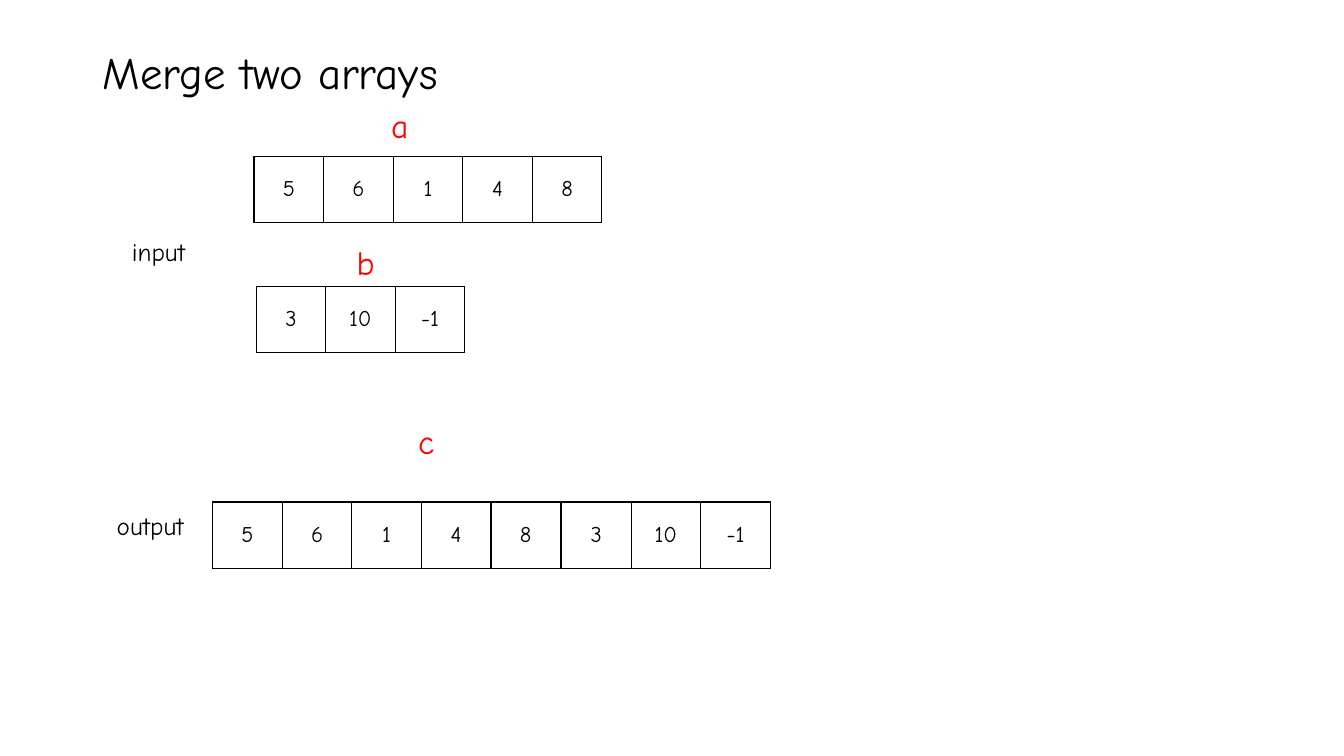
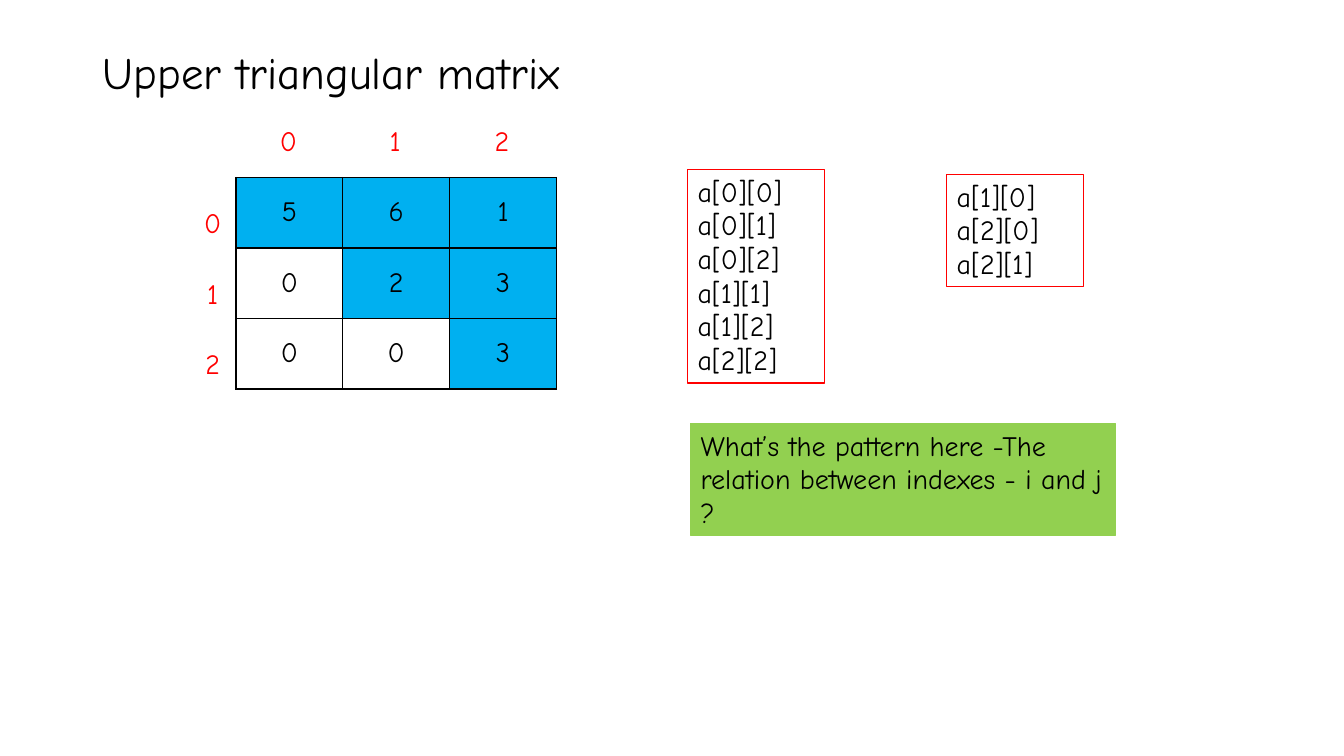
from dataclasses import dataclass

import lxml.etree
import pptx
import pptx.dml.color
import pptx.enum.shapes
import pptx.enum.text
import pptx.oxml.ns
import pptx.presentation
import pptx.slide
import pptx.table
import pptx.text.text
import pptx.util

RGBColor = pptx.dml.color.RGBColor
PP_ALIGN = pptx.enum.text.PP_ALIGN
MSO_ANCHOR = pptx.enum.text.MSO_ANCHOR
MSO_AUTO_SIZE = pptx.enum.text.MSO_AUTO_SIZE
qn = pptx.oxml.ns.qn

BLACK = RGBColor(0x00, 0x00, 0x00)
RED = RGBColor(0xFF, 0x00, 0x00)
BLUE = RGBColor(0x00, 0xB0, 0xF0)
GREEN = RGBColor(0x92, 0xD0, 0x50)

FONT = "Comic Neue"
EMU_PER_PX = 9144  # 100 px to the inch
PLAIN_TABLE_STYLE = "{2D5ABB26-0587-4C30-8999-92F81FD0307C}"
TITLE_ONLY = 5

ARRAY_A = ["5", "6", "1", "4", "8"]
ARRAY_B = ["3", "10", "-1"]
MATRIX = [["5", "6", "1"], ["0", "2", "3"], ["0", "0", "3"]]
INDEXES = ["0", "1", "2"]


@dataclass(frozen=True)
class Grid:
    left: int
    top: int
    cell_width: int
    cell_height: int
    rows: list[list[str]]
    size: int = 16
    color: RGBColor = BLACK
    bordered: bool = True
    upper_fill: RGBColor | None = None


@dataclass(frozen=True)
class Label:
    left: int
    top: int
    width: int
    height: int
    text: str
    size: int
    color: RGBColor


@dataclass(frozen=True)
class Box:
    left: int
    top: int
    width: int
    height: int
    lines: list[str]
    line: RGBColor
    fill: RGBColor | None = None


def px(*lengths: int) -> list[pptx.util.Emu]:
    """Turn lengths in px into EMU."""
    return [pptx.util.Emu(n * EMU_PER_PX) for n in lengths]


def set_font(p: pptx.text.text._Paragraph, size: int, color: RGBColor) -> None:
    p.font.name = FONT
    p.font.size = pptx.util.Pt(size)
    p.font.color.rgb = color


def add_titled_slide(prs: pptx.presentation.Presentation, title: str) -> pptx.slide.Slide:
    s = prs.slides.add_slide(prs.slide_layouts[TITLE_ONLY])
    sp = s.shapes.title
    sp.left, sp.top, sp.width, sp.height = px(92, 40, 1150, 69)
    tf = sp.text_frame
    tf.text = title
    tf.auto_size = MSO_AUTO_SIZE.NONE
    tf.vertical_anchor = MSO_ANCHOR.MIDDLE
    p = tf.paragraphs[0]
    p.alignment = PP_ALIGN.LEFT
    p.line_spacing = 0.9
    set_font(p, 32, BLACK)
    return s


def add_borders(cell: pptx.table._Cell) -> None:
    tc_pr = cell._tc.get_or_add_tcPr()
    for side in ("lnL", "lnR", "lnT", "lnB"):
        ln = lxml.etree.SubElement(tc_pr, qn(f"a:{side}"), w=str(pptx.util.Pt(1)))
        fill = lxml.etree.SubElement(ln, qn("a:solidFill"))
        lxml.etree.SubElement(fill, qn("a:srgbClr"), val=str(BLACK))


def add_grid(s: pptx.slide.Slide, grid: Grid) -> None:
    """Draw a table of equal cells, filling the upper triangle if asked."""
    n_rows, n_cols = len(grid.rows), len(grid.rows[0])
    frame = s.shapes.add_table(
        n_rows, n_cols,
        *px(grid.left, grid.top, n_cols * grid.cell_width, n_rows * grid.cell_height),
    )
    table = frame.table
    table.first_row = table.horz_banding = False
    table._tbl.tblPr.find(qn("a:tableStyleId")).text = PLAIN_TABLE_STYLE
    for i, row in enumerate(grid.rows):
        for j, text in enumerate(row):
            cell = table.cell(i, j)
            cell.text = text
            cell.vertical_anchor = MSO_ANCHOR.MIDDLE
            if grid.bordered:
                add_borders(cell)
            if grid.upper_fill is not None and i <= j:
                cell.fill.solid()
                cell.fill.fore_color.rgb = grid.upper_fill
            else:
                cell.fill.background()
            p = cell.text_frame.paragraphs[0]
            p.alignment = PP_ALIGN.CENTER
            set_font(p, grid.size, grid.color)


def add_label(s: pptx.slide.Slide, label: Label) -> None:
    sp = s.shapes.add_textbox(*px(label.left, label.top, label.width, label.height))
    tf = sp.text_frame
    tf.word_wrap = True
    tf.auto_size = MSO_AUTO_SIZE.SHAPE_TO_FIT_TEXT
    tf.text = label.text
    set_font(tf.paragraphs[0], label.size, label.color)


def add_box(s: pptx.slide.Slide, box: Box) -> None:
    sp = s.shapes.add_shape(
        pptx.enum.shapes.MSO_SHAPE.RECTANGLE,
        *px(box.left, box.top, box.width, box.height),
    )
    sp.shadow.inherit = False
    sp.line.color.rgb = box.line
    sp.line.width = pptx.util.Pt(0.75)
    if box.fill is None:
        sp.fill.background()
    else:
        sp.fill.solid()
        sp.fill.fore_color.rgb = box.fill
    tf = sp.text_frame
    tf.word_wrap = True
    tf.auto_size = MSO_AUTO_SIZE.SHAPE_TO_FIT_TEXT
    tf.vertical_anchor = MSO_ANCHOR.TOP
    tf.text = "\n".join(box.lines)
    for p in tf.paragraphs:
        p.alignment = PP_ALIGN.LEFT
        set_font(p, 20, BLACK)


def build_merge_slide(prs: pptx.presentation.Presentation) -> None:
    s = add_titled_slide(prs, "Merge two arrays")
    for left, top, values in (
        (252, 155, ARRAY_A),
        (254, 284, ARRAY_B),
        (211, 498, ARRAY_A),
        (557, 498, ARRAY_B),
    ):
        add_grid(s, Grid(left, top, 69, 66, [values]))
    for label in (
        Label(121, 229, 110, 42, "input", 18, BLACK),
        Label(106, 501, 110, 42, "output", 18, BLACK),
        Label(378, 99, 49, 50, "a", 24, RED),
        Label(344, 235, 53, 50, "b", 24, RED),
        Label(405, 413, 53, 50, "c", 24, RED),
    ):
        add_label(s, label)


def build_matrix_slide(prs: pptx.presentation.Presentation) -> None:
    s = add_titled_slide(prs, "Upper triangular matrix")
    for grid in (
        Grid(234, 176, 106, 70, MATRIX, 20, upper_fill=BLUE),
        Grid(183, 188, 56, 70, [[i] for i in INDEXES], 20, RED, bordered=False),
        Grid(233, 120, 106, 43, [INDEXES], 20, RED, bordered=False),
    ):
        add_grid(s, grid)
    order = range(len(MATRIX))
    upper = [f"a[{i}][{j}]" for i in order for j in order if i <= j]
    lower = [f"a[{i}][{j}]" for i in order for j in order if i > j]
    question = "What’s the pattern here -The relation between indexes - i and j ?"
    for box in (
        Box(682, 168, 136, 212, upper, RED),
        Box(939, 173, 136, 111, lower, RED),
        Box(685, 420, 421, 111, [question], GREEN, GREEN),
    ):
        add_box(s, box)


def main() -> None:
    prs = pptx.Presentation()
    prs.slide_width, prs.slide_height = px(1333, 750)
    build_merge_slide(prs)
    build_matrix_slide(prs)
    prs.save("out.pptx")


if __name__ == "__main__":
    main()
